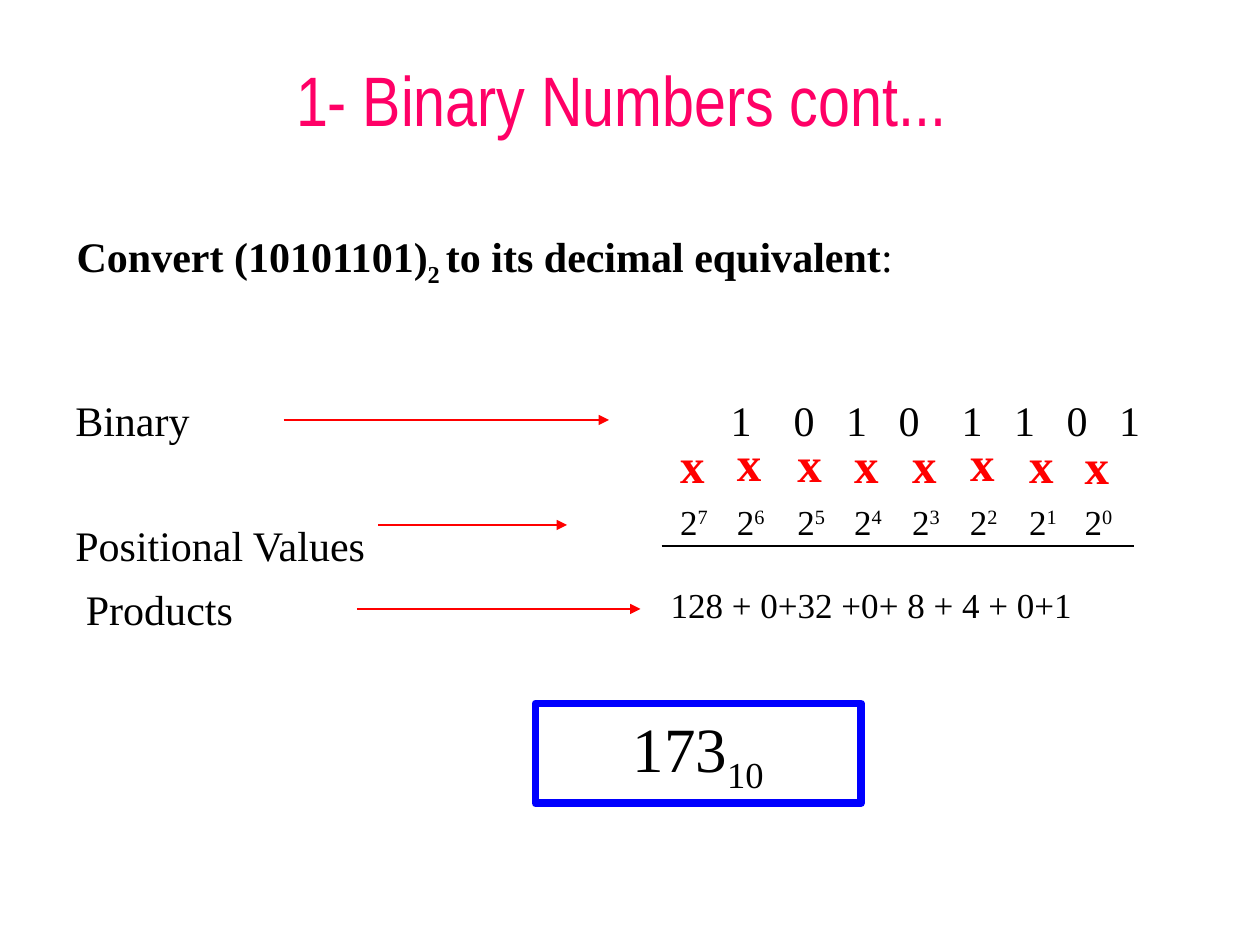
from pptx import Presentation
from pptx.dml.color import RGBColor
from pptx.enum.shapes import MSO_CONNECTOR, MSO_SHAPE
from pptx.enum.text import MSO_ANCHOR, MSO_AUTO_SIZE, PP_ALIGN
from pptx.oxml.ns import qn
from pptx.util import Pt
from lxml.etree import SubElement

BLACK = RGBColor(0, 0, 0)
RED = RGBColor(255, 0, 0)
BLUE = RGBColor(0, 0, 255)
PINK = RGBColor(255, 0, 102)
SERIF = "Times New Roman"
NARROW = "Arial Narrow"

BITS = "10101101"
BIT_TABS = [374.4, 410.4, 440.4, 470.4, 506.4, 536.4, 566.4, 596.4]
# left edge of each column, top of its times sign
COLS = [(381.6, 244.8), (414, 243.4), (448.6, 244.1), (481, 244.8),
        (514.1, 244.8), (547.2, 243.4), (581, 244.8), (612.7, 245.5)]


def add_run(para, text, size, color=BLACK, face=SERIF, bold=False, base=0):
    """Add a run; base is the raise (or drop) in percent."""
    run = para.add_run()
    run.text = text
    font = run.font
    font.size, font.name, font.bold = Pt(size), face, bold
    font.color.rgb = color
    if base:
        font._element.set("baseline", str(base * 1000))


def add_box(slide, box):
    """Add a wrapping text box and return its frame."""
    frame = slide.shapes.add_textbox(*map(Pt, box)).text_frame
    frame.word_wrap = True
    return frame


def add_line(slide, left, right, top, color, arrow=False):
    line = slide.shapes.add_connector(
        MSO_CONNECTOR.STRAIGHT, Pt(left), Pt(top), Pt(right), Pt(top))
    line.line.color.rgb = color
    line.line.width = Pt(1)
    if arrow:
        SubElement(line.line._get_or_add_ln(), qn("a:tailEnd"), type="triangle")
    SubElement(line._element.spPr, qn("a:effectLst"))


def add_title(slide, box):
    title = slide.shapes.title
    title.left, title.top, title.width, title.height = map(Pt, box)
    frame = title.text_frame
    frame.auto_size = MSO_AUTO_SIZE.NONE
    frame.vertical_anchor = MSO_ANCHOR.BOTTOM
    frame.margin_left = frame.margin_right = frame.margin_bottom = 0
    para = frame.paragraphs[0]
    para.alignment = PP_ALIGN.CENTER
    add_run(para, "1- Binary Numbers cont...", 40, PINK, NARROW)


def add_task(slide, box):
    para = add_box(slide, box).paragraphs[0]
    add_run(para, "Convert (10101101)", 24, bold=True)
    add_run(para, "2 ", 24, bold=True, base=-25)
    add_run(para, "to its decimal equivalent", 24, bold=True)
    add_run(para, ":", 24)


def add_rows(slide, box):
    """Binary digits on tab stops, then the label of the positional values."""
    frame = add_box(slide, box)
    frame.margin_top = Pt(73)
    para = frame.paragraphs[0]
    tabs = SubElement(para._p.get_or_add_pPr(), qn("a:tabLst"))
    for stop in BIT_TABS:
        SubElement(tabs, qn("a:tab"), pos=str(Pt(stop)), algn="l")
    add_run(para, "Binary", 24)
    for bit in BITS:
        add_run(para, "\t" + bit, 24)
    para = frame.add_paragraph()
    para.space_before = Pt(42.4)
    add_run(para, "Positional Values", 24)


def add_powers(slide, top):
    """A times sign over a power of two for each column."""
    for power, (left, sign) in zip(range(7, -1, -1), COLS):
        para = add_box(slide, (left, sign, 18, 41)).paragraphs[0]
        add_run(para, "x", 28, RED, bold=True)
        para = add_box(slide, (left, top, 42, 31.7)).paragraphs[0]
        add_run(para, "2", 20)
        add_run(para, str(power), 20, base=30)


def add_products(slide, label, terms):
    add_run(add_box(slide, label).paragraphs[0], "Products", 24)
    frame = add_box(slide, terms)
    frame.margin_left = Pt(17.2)
    add_run(frame.paragraphs[0], "128 + 0+32 +0+ 8 + 4 + 0+1", 20)


def add_result(slide, box):
    rect = slide.shapes.add_shape(MSO_SHAPE.RECTANGLE, *map(Pt, box))
    rect.shadow.inherit = False
    rect.fill.background()
    rect.line.color.rgb = BLUE
    rect.line.width = Pt(4.5)
    frame = rect.text_frame
    frame.vertical_anchor = MSO_ANCHOR.TOP
    para = frame.paragraphs[0]
    para.alignment = PP_ALIGN.CENTER
    add_run(para, "173", 36)
    add_run(para, "10", 36, base=-25)


def main():
    deck = Presentation()
    deck.slide_width, deck.slide_height = Pt(720), Pt(540)
    slide = deck.slides.add_slide(deck.slide_layouts[5])
    add_rows(slide, (36, 152.6, 648, 345.6))
    add_powers(slide, 282.2)
    add_products(slide, (42, 330, 126, 36), (366, 330, 330, 31.7))
    for left, right, top in [(162, 348, 240), (216, 324, 300), (204, 366, 348)]:
        add_line(slide, left, right, top, RED, arrow=True)
    add_line(slide, 378, 648, 312, BLACK)
    add_result(slide, (306, 402, 186, 57))
    add_task(slide, (36.7, 128.2, 491.8, 69))
    add_title(slide, (31, 20.2, 648, 59.8))
    deck.save("out.pptx")


if __name__ == "__main__":
    main()
